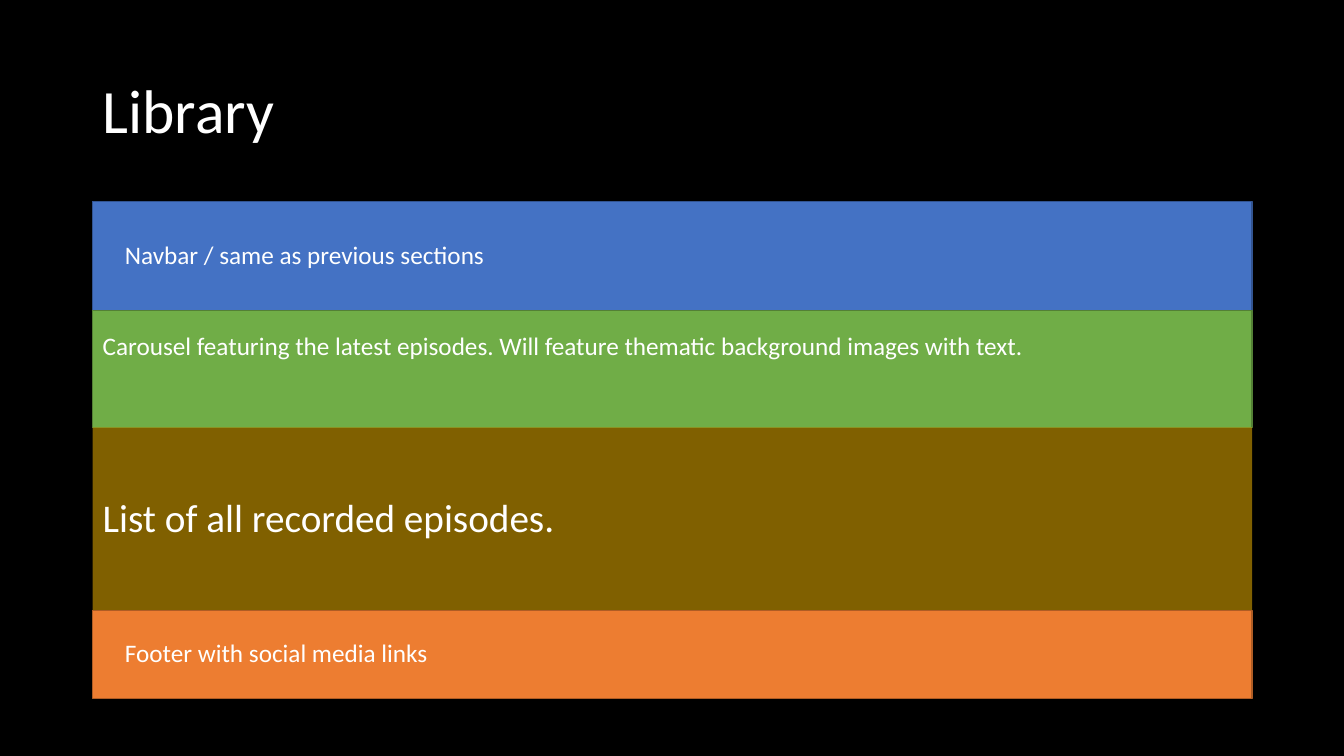
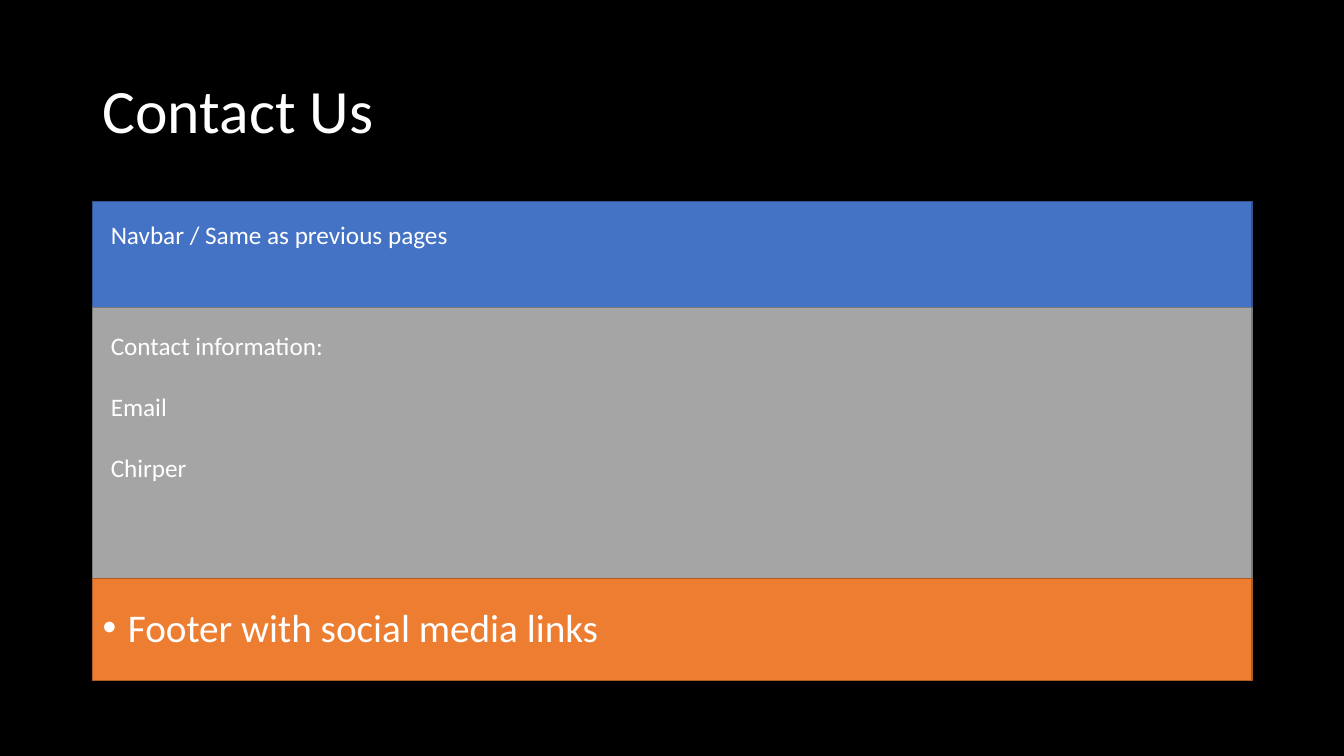
from lxml import etree
from pptx import Presentation
from pptx import util as u
from pptx.dml.color import RGBColor
from pptx.enum import shapes, text
from pptx.oxml.ns import qn

COLORS = {
    "page": "000000", "text": "FFFFFF",
    "navbar": "4472C4", "navbar edge": "325491",
    "carousel": "70AD47", "carousel edge": "538035",
    "episodes": "FFC000",
    "contact": "A5A5A5", "contact edge": "7A7A7A",
    "footer": "ED7D31", "footer edge": "AF5C24",
}
FONT = "Calibri"
LEFT, WIDTH = 0.92, 11.5


def rgb(name):
    """Return the named colour."""
    return RGBColor.from_string(COLORS[name])


class Wireframe:
    """Holds the presentation, its style and the current slide."""

    def __init__(self):
        """Start an empty widescreen presentation."""
        self.deck = Presentation()
        self.deck.slide_width = u.Inches(13.33)
        self.deck.slide_height = u.Inches(7.5)
        self.slide = None

    def page(self, title):
        """Add a black slide with its title."""
        self.slide = self.deck.slides.add_slide(self.deck.slide_layouts[6])
        background = self.slide.background.fill
        background.solid()
        background.fore_color.rgb = rgb("page")
        heading = self.textbox(LEFT, 0.4, WIDTH, 1.45)
        heading.vertical_anchor = text.MSO_ANCHOR.MIDDLE
        self.set_lines(heading, [title], 44, line_spacing=0.9)

    def textbox(self, left, top, width, height):
        """Add a wrapping text box and return its text frame."""
        box = self.slide.shapes.add_textbox(*map(u.Inches, (left, top, width, height)))
        box.text_frame.word_wrap = True
        return box.text_frame

    def set_lines(self, frame, lines, size, line_spacing=1.0, gap=0):
        """Fill a text frame with left-aligned lines, set apart by gap points."""
        frame.text = "\n".join(lines)
        for index, paragraph in enumerate(frame.paragraphs):
            paragraph.alignment = text.PP_ALIGN.LEFT
            paragraph.line_spacing = line_spacing
            paragraph.space_before = u.Pt(gap if index else 0)
            paragraph.font.name = FONT
            paragraph.font.size = u.Pt(size)
            paragraph.font.color.rgb = rgb("text")

    def band(self, section, top, height, alpha=None):
        """Add the full-width band of a section and return it."""
        band = self.slide.shapes.add_shape(
            shapes.MSO_SHAPE.RECTANGLE, *map(u.Inches, (LEFT, top, WIDTH, height)))
        band.shadow.inherit = False
        band.fill.solid()
        band.fill.fore_color.rgb = rgb(section)
        if alpha is not None:
            color = band.element.spPr.find(qn("a:solidFill")).find(qn("a:srgbClr"))
            etree.SubElement(color, qn("a:alpha"), val=str(alpha * 1000))
        edge = section + " edge"
        if edge in COLORS:
            band.line.color.rgb = rgb(edge)
            band.line.width = u.Pt(1)
        else:
            band.line.fill.background()
        return band

    def label(self, left, top, width, lines, height=0.4):
        """Add a small caption over a band."""
        self.set_lines(self.textbox(left, top, width, height), lines, 18, gap=22)

    def statement(self, band, line, bullet=False):
        """Put one large line inside a band, with a bullet if asked."""
        frame = band.text_frame
        frame.vertical_anchor = text.MSO_ANCHOR.MIDDLE
        self.set_lines(frame, [line], 28, line_spacing=0.9)
        paragraph = frame.paragraphs[0]
        paragraph.space_before = u.Pt(10)
        if bullet:
            properties = paragraph._p.get_or_add_pPr()
            properties.set("marL", str(u.Inches(0.25)))
            properties.set("indent", str(u.Inches(-0.25)))
            defaults = properties.find(qn("a:defRPr"))
            defaults.addprevious(etree.Element(qn("a:buFont"), typeface="Arial"))
            defaults.addprevious(etree.Element(qn("a:buChar"), char="•"))


site = Wireframe()

site.page("Library")
site.band("navbar", 2, 1.09)
site.label(1.14, 2.33, 6.72, ["Navbar / same as previous sections"])
site.band("carousel", 3.08, 1.16)
site.label(LEFT, 3.23, 10.08, [
    "Carousel featuring the latest episodes. "
    "Will feature thematic background images with text."])
episodes = site.band("episodes", 4.24, 1.84, alpha=50)
site.statement(episodes, "List of all recorded episodes.")
site.band("footer", 6.06, 0.87)
site.label(1.14, 6.27, 6.96, ["Footer with social media links"])

site.page("Contact Us")
site.band("navbar", 2, 1.05)
site.label(1, 2.13, 7.08, ["Navbar / Same as previous pages"])
site.band("contact", 3.05, 2.69)
site.label(1, 3.23, 6.82, ["Contact information:", "Email", "Chirper"], height=1.92)
footer = site.band("footer", 5.74, 1.01)
site.statement(footer, "Footer with social media links", bullet=True)

site.deck.save("out.pptx")
